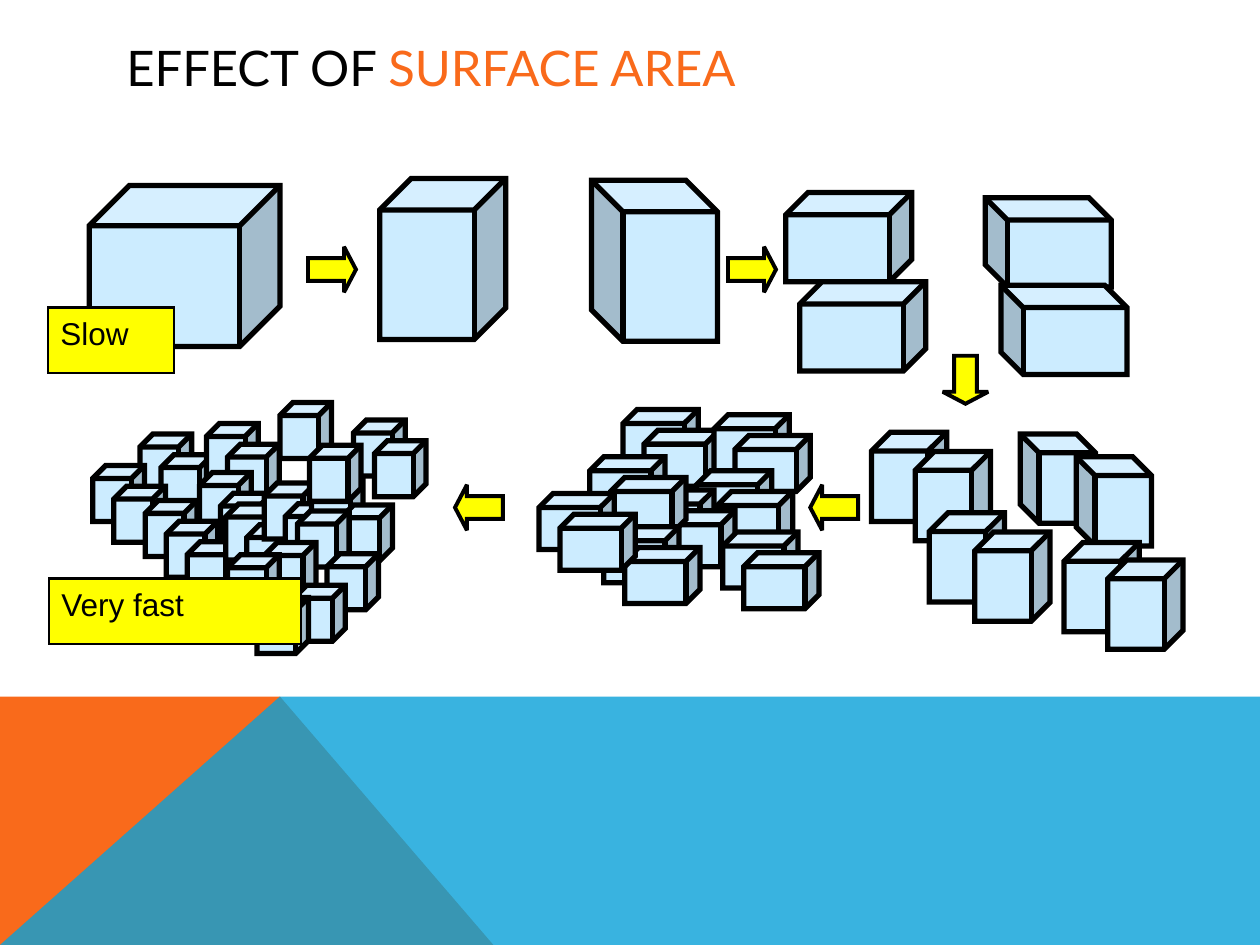
from lxml.etree import SubElement
from pptx import Presentation
from pptx.dml.color import RGBColor
from pptx.enum.shapes import MSO_SHAPE as Preset
from pptx.enum.text import MSO_ANCHOR as Anchor, PP_ALIGN as Align
from pptx.oxml.ns import qn
from pptx.util import Pt

WHITE = RGBColor(0xFF, 0xFF, 0xFF)
BLACK = RGBColor(0x00, 0x00, 0x00)
ORANGE = RGBColor(0xF9, 0x6A, 0x1B)
BLUE = RGBColor(0x08, 0xA1, 0xD9)
ICE = RGBColor(0xCC, 0xEC, 0xFF)
YELLOW = RGBColor(0xFF, 0xFF, 0x00)

WIDTH, HEIGHT = 720, 540
BAND_TOP, PEAK = 397.5, 160.5

# Cube sizes, from the undivided block down to the smallest pieces
WHOLE, HALF, QUARTER = (109, 92), (72, 92), (72, 51)
EIGHTH, SIXTEENTH, SMALLEST = (43, 51), (43, 32), (29.5, 32)
NEAR_STEP, FAR_STEP = (12, 11.8), (16.8, 24.5)

HALVES = [(217, 102, False), (338, 103, True)]
QUARTERS = [(449, 110, False), (563, 113, True), (457, 161, False), (572, 163, True)]
EIGHTHS = [(498, 247, False), (583, 248, True), (523, 258, False), (615, 261, True),
           (531, 293, False), (557, 304, False), (608, 310, False), (633, 320, False)]
SIXTEENTH_PAIRS = [(356, 234), (408, 237), (398, 269), (365, 280),
                   (413, 304), (337, 261), (345, 301), (308, 282)]
SMALLEST_RUNS = [(80, 248, NEAR_STEP, 2), (118, 242, NEAR_STEP, 2),
                 (114, 270, NEAR_STEP, 2), (53, 266, NEAR_STEP, 2),
                 (83, 286, NEAR_STEP, 3), (129, 288, NEAR_STEP, 2),
                 (151, 276, NEAR_STEP, 2), (178, 264, FAR_STEP, 2),
                 (202, 240, NEAR_STEP, 2), (160, 230, FAR_STEP, 2),
                 (170, 292, FAR_STEP, 2), (151, 310, FAR_STEP, 2),
                 (130, 317, FAR_STEP, 2)]
ARROWS = [(176, 141, 0), (416, 141, 0), (538, 204, 90), (463, 277, 180), (260, 277, 180)]


class SlideBuilder:
    """Holds the style and the current slide."""

    title_font, label_font = "Lato", "Arial"
    title_size, label_size = 28, 18

    def __init__(self, slide):
        self.slide = slide
        background = slide.background.fill
        background.solid()
        background.fore_color.rgb = WHITE

    def title(self, parts, left, top, width, height):
        """Fill the title placeholder from (text, colour) parts."""
        shape = self.slide.shapes.title
        shape.left, shape.top, shape.width, shape.height = map(Pt, (left, top, width, height))
        frame = shape.text_frame
        frame.vertical_anchor = Anchor.MIDDLE
        paragraph = frame.paragraphs[0]
        paragraph.alignment = Align.LEFT
        for text, colour in parts:
            run = paragraph.add_run()
            run.text = text
            self.style_font(run.font, self.title_font, self.title_size, colour)

    def style_font(self, font, name, size, colour):
        font.name, font.size = name, Pt(size)
        font.color.rgb = colour

    def polygon(self, points, colour, opacity=100):
        builder = self.slide.shapes.build_freeform(*points[0], scale=Pt(1))
        builder.add_line_segments(points[1:], close=True)
        shape = builder.convert_to_shape()
        shape.shadow.inherit = False
        shape.fill.solid()
        shape.fill.fore_color.rgb = colour
        shape.line.fill.background()
        if opacity < 100:
            colour_node = shape._element.spPr.find(".//" + qn("a:srgbClr"))
            SubElement(colour_node, qn("a:alpha"), val=str(opacity * 1000))

    def outlined(self, preset, left, top, width, height, colour, line_width):
        """Add a preset shape with a black, sharp-cornered outline."""
        shape = self.slide.shapes.add_shape(preset, *map(Pt, (left, top, width, height)))
        shape.shadow.inherit = False
        shape.fill.solid()
        shape.fill.fore_color.rgb = colour
        shape.line.color.rgb = BLACK
        shape.line.width = Pt(line_width)
        outline = shape._element.spPr.find(qn("a:ln"))
        SubElement(outline, qn("a:miter"), lim="800000")
        return shape

    def cube(self, left, top, size, flipped=False):
        shape = self.outlined(Preset.CUBE, left, top, *size, ICE, 3)
        shape.adjustments[0] = 0.25
        if flipped:
            shape._element.spPr.find(qn("a:xfrm")).set("flipH", "1")

    def cube_run(self, left, top, size, step, count):
        """Stack cubes diagonally, each in front of the one before."""
        for index in range(count):
            self.cube(left + index * step[0], top + index * step[1], size)

    def arrow(self, left, top, rotation):
        shape = self.outlined(Preset.RIGHT_ARROW, left, top, 27.4, 26, YELLOW, 2.25)
        shape.adjustments[1] = 0.262
        shape.rotation = rotation

    def label(self, text, left, top, width):
        shape = self.outlined(Preset.RECTANGLE, left, top, width, 37.5, YELLOW, 1.5)
        frame = shape.text_frame
        frame.word_wrap = True
        frame.vertical_anchor = Anchor.TOP
        frame.text = text
        paragraph = frame.paragraphs[0]
        paragraph.alignment = Align.LEFT
        self.style_font(paragraph.runs[0].font, self.label_font, self.label_size, BLACK)


def main():
    presentation = Presentation()
    presentation.slide_width, presentation.slide_height = Pt(WIDTH), Pt(HEIGHT)
    title_only = presentation.slide_layouts[5]
    builder = SlideBuilder(presentation.slides.add_slide(title_only))

    builder.polygon([(0, HEIGHT), (0, BAND_TOP), (PEAK, BAND_TOP), (281.5, HEIGHT)], ORANGE)
    builder.polygon([(0, HEIGHT), (PEAK, BAND_TOP), (WIDTH, BAND_TOP), (WIDTH, HEIGHT)],
                    BLUE, opacity=80)
    builder.title([("EFFECT OF ", BLACK), ("SURFACE AREA", ORANGE)], 65, 16.5, 590, 43)

    builder.cube(51, 106, WHOLE)
    for size, cubes in ((HALF, HALVES), (QUARTER, QUARTERS), (EIGHTH, EIGHTHS)):
        for left, top, flipped in cubes:
            builder.cube(left, top, size, flipped)
    for left, top in SIXTEENTH_PAIRS:
        builder.cube_run(left, top, SIXTEENTH, NEAR_STEP, 2)
    for left, top, step, count in SMALLEST_RUNS:
        builder.cube_run(left, top, SMALLEST, step, count)
    for arrow in ARROWS:
        builder.arrow(*arrow)

    builder.label("Very fast", 28, 330.5, 144)
    builder.label("Slow", 27.5, 175.7, 72)
    presentation.save("out.pptx")


if __name__ == "__main__":
    main()
